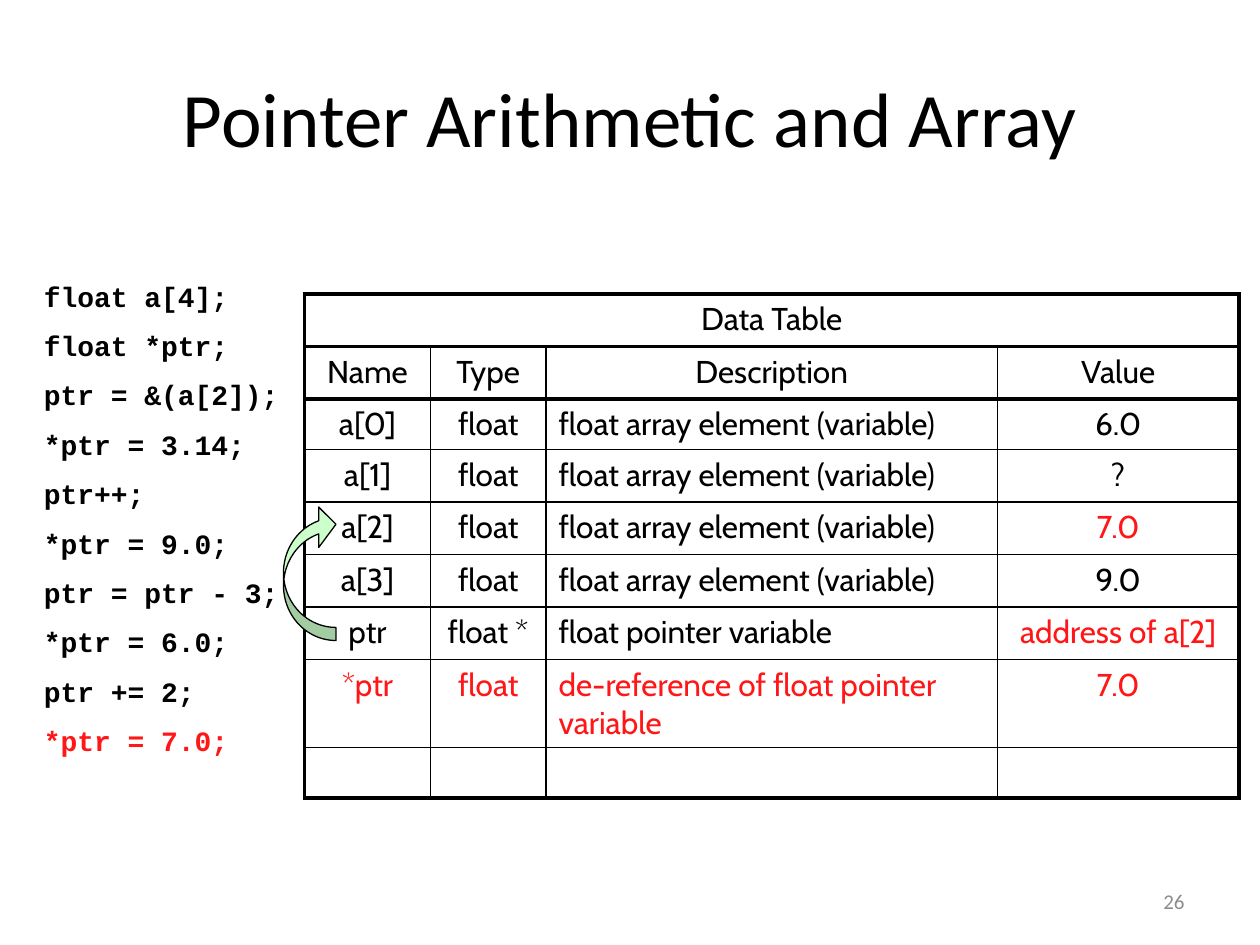
from typing import NamedTuple

from lxml.etree import SubElement
from pptx import Presentation
from pptx.dml.color import RGBColor
from pptx.enum.shapes import MSO_SHAPE as Shape
from pptx.enum.text import MSO_ANCHOR as Anchor, PP_ALIGN as Align
from pptx.oxml.ns import qn
from pptx.util import Emu, Inches, Pt

UNIT = Inches(1) // 12  # the grid has twelve steps to the inch
COLORS = {"ink": "000000", "new": "FF1717", "number": "8C8C8C", "arrow": "CCFFCC"}
THIN, THICK = Pt(1), Pt(2.25)


class Area(NamedTuple):
    """A place on the grid, in grid steps."""
    left: float
    top: float
    width: float
    height: float

    def lengths(self) -> list[Emu]:
        return [grid(steps) for steps in self]


class Style(NamedTuple):
    font: str
    size: float
    color: str = "ink"
    bold: bool = False
    align: Align = Align.LEFT


class Row(NamedTuple):
    """One line of the data table; changed lists the columns in the accent colour."""
    texts: tuple[str, ...]
    height: float = 5
    changed: tuple[int, ...] = ()


TITLE = Style("Calibri", 44, align=Align.CENTER)
NUMBER = Style("Calibri", 12, "number", align=Align.RIGHT)
CODE = Style("Courier New", 16, bold=True)
CELL = Style("Cabin", 18)

CODE_LINES = [
    "float a[4];", "float *ptr;", "ptr = &(a[2]);", "*ptr = 3.14;", "ptr++;",
    "*ptr = 9.0;", "ptr = ptr - 3;", "*ptr = 6.0;", "ptr += 2;", "*ptr = 7.0;",
]
ELEMENT = "float array element (variable)"
COLUMNS = [12, 11, 43, 23]
DESCRIPTION = 2
HEADER_ROWS = 2
ROWS = [
    Row(("Data Table", "", "", "")),
    Row(("Name", "Type", "Description", "Value")),
    Row(("a[0]", "float", ELEMENT, "6.0"), height=4.8),
    Row(("a[1]", "float", ELEMENT, "?")),
    Row(("a[2]", "float", ELEMENT, "7.0"), changed=(3,)),
    Row(("a[3]", "float", ELEMENT, "9.0")),
    Row(("ptr", "float *", "float pointer variable", "address of a[2]"), changed=(3,)),
    Row(("*ptr", "float", "de-reference of float pointer variable", "7.0"),
        height=8.4, changed=(0, 1, 2, 3)),
    Row(("", "", "", ""), height=4.8),
]


def grid(steps: float) -> Emu:
    return Emu(round(steps * UNIT))


def rgb(name: str) -> RGBColor:
    return RGBColor.from_string(COLORS[name])


def write(para, text: str, style: Style) -> None:
    para.alignment = style.align
    span = para.add_run()
    span.text = text
    formats = {"name": style.font, "size": Pt(style.size), "bold": style.bold}
    for name, value in formats.items():
        setattr(span.font, name, value)
    span.font.color.rgb = rgb(style.color)


def add_text(page, area: Area, lines: list[str], style: Style,
             anchor: Anchor = Anchor.MIDDLE, gap: float = 0):
    frame = page.shapes.add_textbox(*area.lengths()).text_frame
    frame.word_wrap = True
    frame.vertical_anchor = anchor
    for index, line in enumerate(lines):
        para = frame.add_paragraph() if index else frame.paragraphs[0]
        if index:
            para.space_before = Pt(gap)
        write(para, line, style)
    return frame


def set_borders(cell, widths: dict[str, int]) -> None:
    properties = cell._tc.get_or_add_tcPr()
    for side, width in widths.items():
        line = SubElement(properties, qn(f"a:ln{side}"), w=str(width))
        fill = SubElement(line, qn("a:solidFill"))
        SubElement(fill, qn("a:srgbClr"), val=COLORS["ink"])


def add_data_table(page, area: Area) -> None:
    table = page.shapes.add_table(len(ROWS), len(COLUMNS), *area.lengths()).table
    table.first_row = table.horz_banding = False
    for column, width in zip(table.columns, COLUMNS):
        column.width = grid(width)

    last_row, last_column = len(ROWS) - 1, len(COLUMNS) - 1
    for r, row in enumerate(ROWS):
        table.rows[r].height = grid(row.height)
        for c, text in enumerate(row.texts):
            cell = table.cell(r, c)
            # Heavy lines frame the table and the header rows
            heavy = {
                "L": c == 0,
                "R": c == last_column or r == 0,
                "T": r <= HEADER_ROWS,
                "B": r < HEADER_ROWS or r == last_row,
            }
            set_borders(cell, {side: THICK if thick else THIN
                               for side, thick in heavy.items()})
            cell.fill.background()
            if text:
                left = c == DESCRIPTION and r >= HEADER_ROWS
                write(cell.text_frame.paragraphs[0], text, CELL._replace(
                    align=Align.LEFT if left else Align.CENTER,
                    color="new" if c in row.changed else "ink"))
    table.cell(0, 0).merge(table.cell(0, last_column))


def add_pointer_arrow(page, area: Area) -> None:
    arrow = page.shapes.add_shape(Shape.CURVED_LEFT_ARROW, *area.lengths())
    arrow.rotation = 180
    arrow.shadow.inherit = False
    for index, value in enumerate((0.25, 0.77, 0.33)):
        arrow.adjustments[index] = value
    arrow.fill.solid()
    arrow.fill.fore_color.rgb = rgb("arrow")
    arrow.line.color.rgb = rgb("ink")
    arrow.line.width = Pt(0.75)


def main() -> None:
    deck = Presentation()
    deck.slide_width, deck.slide_height = grid(120), grid(90)
    page = deck.slides.add_slide(deck.slide_layouts[6])

    # Title and page number
    add_text(page, Area(6, 3.6, 108, 15), ["Pointer Arithmetic and Array"], TITLE)
    add_text(page, Area(86, 83.4, 28, 4.8), ["26"], NUMBER)

    # Code, with the current statement highlighted
    code = add_text(page, Area(3, 26, 112, 47.8), CODE_LINES, CODE, Anchor.TOP, gap=9.05)
    code.paragraphs[-1].runs[0].font.color.rgb = rgb("new")

    # Memory contents and the pointer's target
    add_data_table(page, Area(29, 28, sum(COLUMNS), sum(row.height for row in ROWS)))
    add_pointer_arrow(page, Area(27, 48, 5, 13))

    deck.save("out.pptx")


if __name__ == "__main__":
    main()
